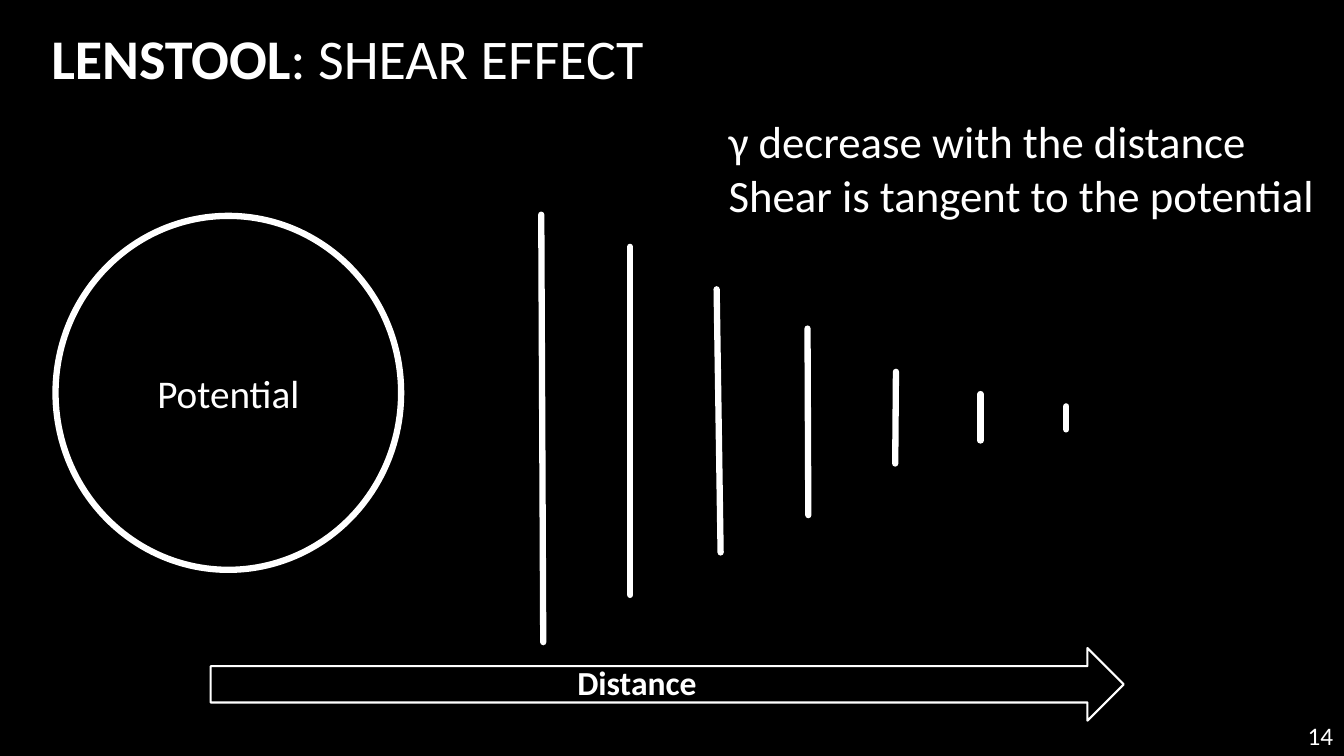
from dataclasses import dataclass

from lxml.etree import SubElement
from pptx import Presentation
from pptx.dml.color import RGBColor
from pptx.enum.shapes import MSO_CONNECTOR as CONN, MSO_SHAPE as SHAPE
from pptx.enum.text import MSO_ANCHOR as ANCHOR, PP_ALIGN as ALIGN
from pptx.oxml.ns import qn
from pptx.util import Cm, Pt


@dataclass(frozen=True)
class Theme:
    font: str = "Calibri"
    back: RGBColor = RGBColor(0, 0, 0)
    ink: RGBColor = RGBColor(255, 255, 255)
    title: int = 40
    body: int = 32
    label: int = 28
    axis: int = 24
    number: int = 18
    heavy: float = 4.5
    thin: float = 1.5


class Deck:
    def __init__(self, theme):
        self.theme = theme
        self.prs = Presentation()
        self.prs.slide_width, self.prs.slide_height = Cm(33.87), Cm(19.05)
        self.s = self.prs.slides.add_slide(self.prs.slide_layouts[5])
        fill = self.s.background.fill
        fill.solid()
        fill.fore_color.rgb = theme.back

    def style(self, p, size, bold=False, align=ALIGN.LEFT):
        p.alignment = align
        f = p.font
        f.name, f.size, f.bold = self.theme.font, Pt(size), bold
        f.color.rgb = self.theme.ink

    def title(self, box, strong, rest):
        sp = self.s.shapes.title
        sp.left, sp.top, sp.width, sp.height = map(Cm, box)
        tf = sp.text_frame
        tf.vertical_anchor = ANCHOR.BOTTOM
        p = tf.paragraphs[0]
        r = p.add_run()
        r.text, r.font.bold = strong, True
        p.add_run().text = rest
        self.style(p, self.theme.title)

    def text(self, box, lines, size, bold=False, align=ALIGN.LEFT, anchor=ANCHOR.TOP):
        tf = self.s.shapes.add_textbox(*map(Cm, box)).text_frame
        tf.word_wrap = True
        tf.vertical_anchor = anchor
        tf.text = "\n".join(lines)
        for p in tf.paragraphs:
            self.style(p, size, bold, align)

    def shape(self, kind, box, weight, label=""):
        sp = self.s.shapes.add_shape(kind, *map(Cm, box))
        sp.shadow.inherit = False
        sp.fill.solid()
        sp.fill.fore_color.rgb = self.theme.back
        sp.line.color.rgb = self.theme.ink
        sp.line.width = Pt(weight)
        if label:
            tf = sp.text_frame
            tf.text = label
            tf.vertical_anchor = ANCHOR.MIDDLE
            self.style(tf.paragraphs[0], self.theme.label, align=ALIGN.CENTER)

    def line(self, ends, weight):
        cx = self.s.shapes.add_connector(CONN.STRAIGHT, *map(Cm, ends))
        cx.line.color.rgb = self.theme.ink
        cx.line.width = Pt(weight)
        sp_pr = cx._element.spPr
        sp_pr.find(qn("a:ln")).set("cap", "rnd")
        SubElement(sp_pr, qn("a:effectLst"))


SHEAR_LINES = [
    (13.64, 5.41, 13.69, 16.18),
    (15.88, 6.22, 15.88, 14.99),
    (18.06, 7.29, 18.16, 13.92),
    (20.35, 8.28, 20.37, 12.98),
    (22.58, 9.37, 22.56, 11.68),
    (24.71, 9.93, 24.71, 11.1),
    (26.87, 10.24, 26.87, 10.82),
]


def main():
    theme = Theme()
    deck = Deck(theme)
    deck.title((1.04, 0.43, 15.75, 1.98), "LENSTOOL", ": SHEAR EFFECT")
    deck.shape(SHAPE.OVAL, (1.4, 5.44, 8.71, 8.92), theme.heavy, "Potential")
    for ends in SHEAR_LINES:
        deck.line(ends, theme.heavy)
    deck.shape(SHAPE.RIGHT_ARROW, (5.31, 16.33, 23.01, 1.83), theme.thin)
    deck.text((18.11, 2.74, 17.86, 3),
              ["γ decrease with the distance", "Shear is tangent to the potential"],
              theme.body)
    deck.text((14.3, 16.56, 7.62, 1.27), ["Distance"], theme.axis, bold=True)
    deck.text((32.33, 18.01, 1.52, 1.04), ["14"], theme.number,
              align=ALIGN.RIGHT, anchor=ANCHOR.MIDDLE)
    deck.prs.save("out.pptx")


if __name__ == "__main__":
    main()
